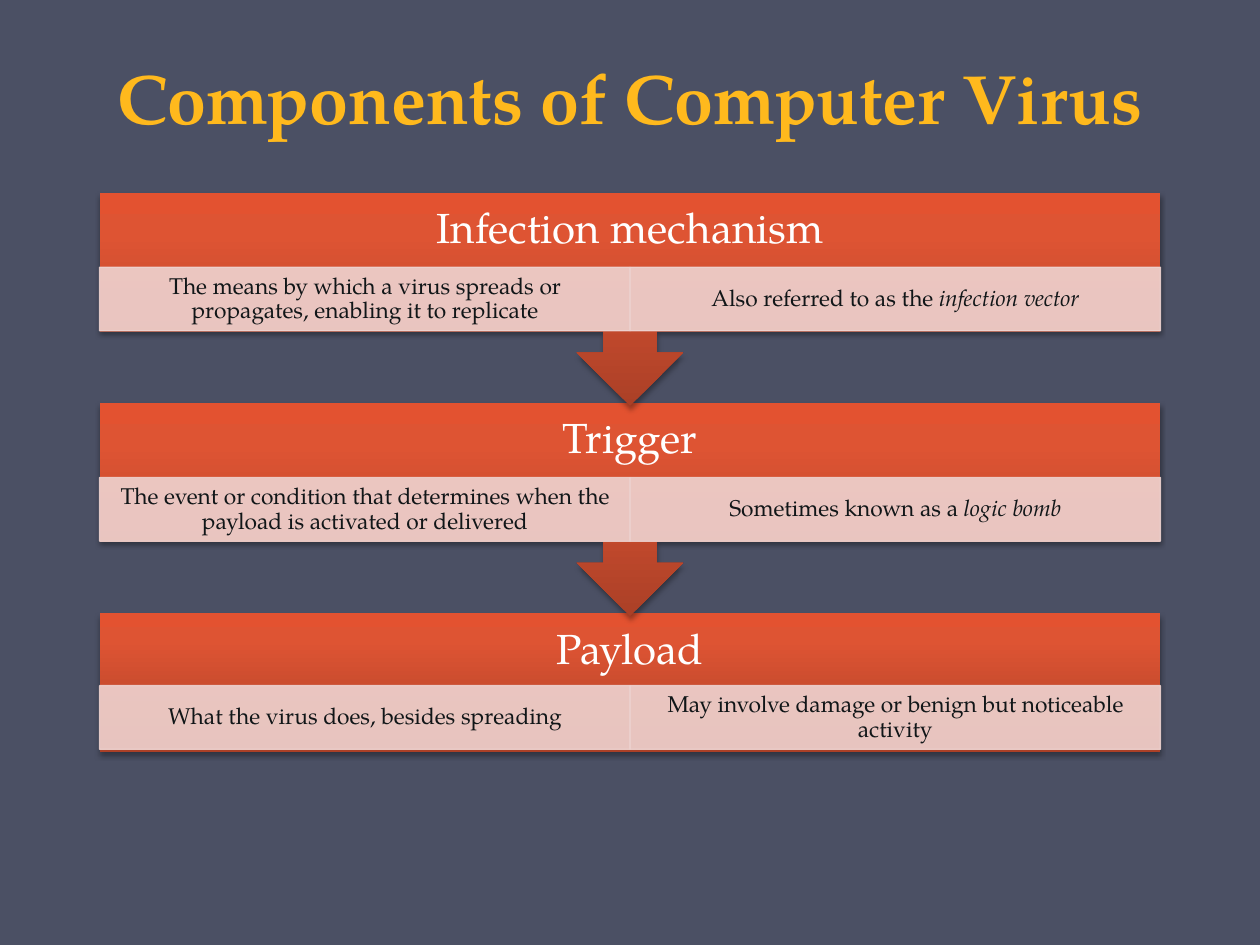
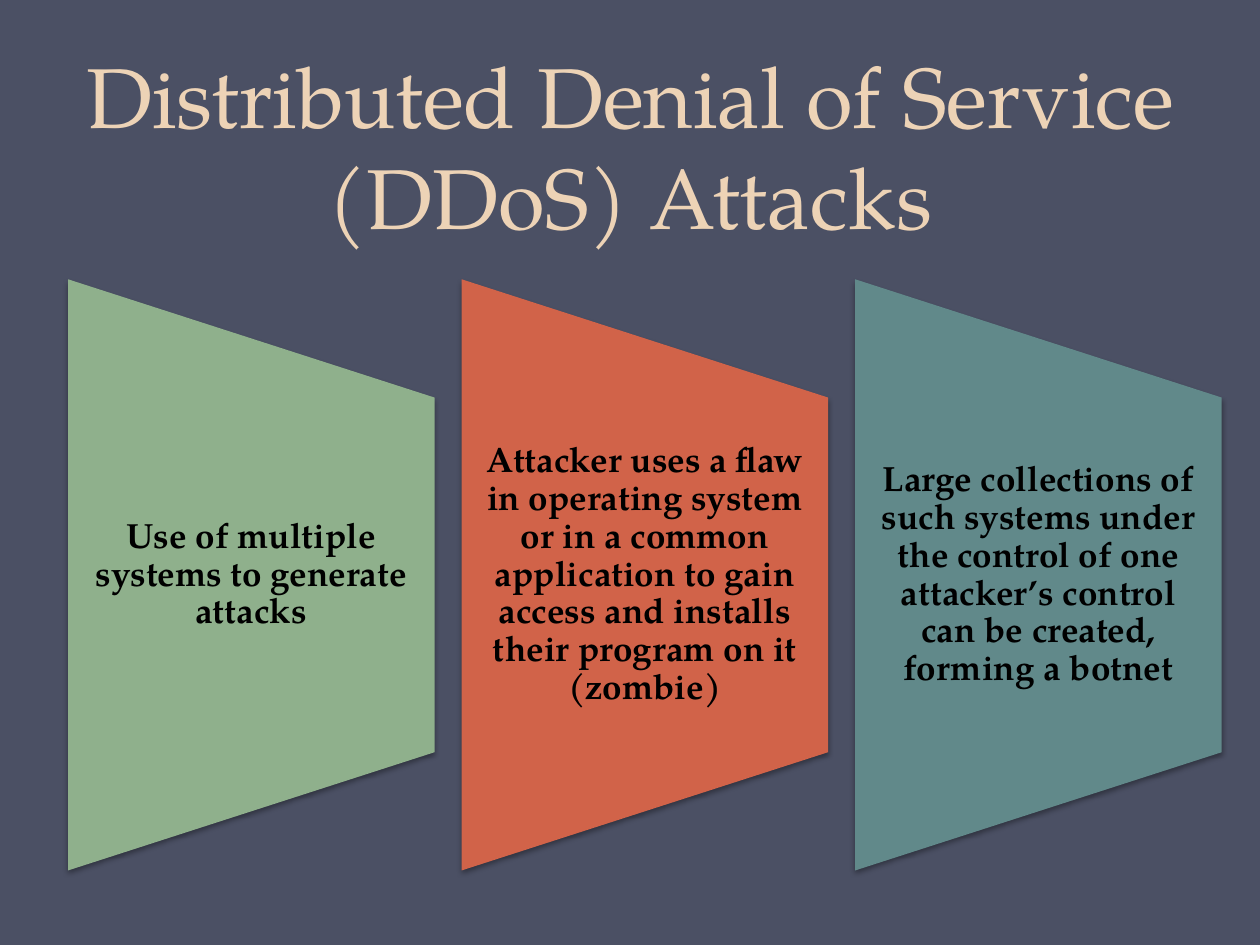
from copy import deepcopy

from lxml import etree
from pptx import Presentation
from pptx.dml.color import RGBColor
from pptx.enum.shapes import MSO_SHAPE
from pptx.enum.text import MSO_ANCHOR, PP_ALIGN
from pptx.oxml.ns import qn
from pptx.util import Pt

RECTANGLE = MSO_SHAPE.RECTANGLE
ARROW_CALLOUT = MSO_SHAPE.DOWN_ARROW_CALLOUT
TRAPEZOID = MSO_SHAPE.FLOWCHART_MANUAL_OPERATION
CENTER = PP_ALIGN.CENTER
MIDDLE, BOTTOM = MSO_ANCHOR.MIDDLE, MSO_ANCHOR.BOTTOM

SLIDE_W, SLIDE_H = 720, 540
FONT = "TeX Gyre Pagella"
BACKGROUND = "4B5064"
GOLD, CREAM = "FFB91D", "EDD3B6"
WHITE, BLACK, INK = "FFFFFF", "000000", "111618"
CELL_FILL = "EED3D0"
GREEN, RED, TEAL = "8FB08C", "D16349", "61898A"
BAND_STOPS = [(0, "AB4027"), (0.8, "DE5433"), (1, "E35230")]

# Each cell is (upright text, italic text)
COMPONENTS = [
    ("Infection mechanism",
     [("The means by which a virus spreads or propagates, enabling it to replicate", ""),
      ("Also referred to as the ", "infection vector")]),
    ("Trigger",
     [("The event or condition that determines when the payload is activated or delivered", ""),
      ("Sometimes known as a ", "logic bomb")]),
    ("Payload",
     [("What the virus does, besides spreading", ""),
      ("May involve damage or benign but noticeable activity", "")]),
]
DDOS_STEPS = [
    (GREEN, "Use of multiple systems to generate attacks"),
    (RED, "Attacker uses a flaw in operating system or in a common application "
          "to gain access and installs their program on it (zombie)"),
    (TEAL, "Large collections of such systems under the control of one attacker’s "
           "control can be created, forming a botnet"),
]


def rgb(hex_color):
    return RGBColor.from_string(hex_color)


def set_attributes(target, **values):
    for key, value in values.items():
        setattr(target, key, value)


class Deck:
    """Holds the presentation, its style and the slide being filled."""

    def __init__(self):
        self.presentation = Presentation()
        set_attributes(self.presentation, slide_width=Pt(SLIDE_W), slide_height=Pt(SLIDE_H))
        self.slide = None

    def new_slide(self):
        self.slide = self.presentation.slides.add_slide(self.presentation.slide_layouts[6])
        fill = self.slide.background.fill
        fill.solid()
        fill.fore_color.rgb = rgb(BACKGROUND)

    def set_text(self, shape, parts, size, color, bold=False, anchor=MIDDLE,
                 spacing=0.9, insets=(7.2, 3.6, 7.2, 3.6)):
        """Fill a shape with one centred paragraph; parts are upright, then italic text."""
        frame = shape.text_frame
        left, top, right, bottom = map(Pt, insets)
        set_attributes(frame, word_wrap=True, vertical_anchor=anchor, margin_left=left,
                       margin_top=top, margin_right=right, margin_bottom=bottom)
        paragraph = frame.paragraphs[0]
        set_attributes(paragraph, alignment=CENTER, line_spacing=spacing)
        for text, italic in zip(parts, (False, True)):
            if text:
                run = paragraph.add_run()
                run.text = text
                set_attributes(run.font, name=FONT, size=Pt(size), bold=bold, italic=italic)
                run.font.color.rgb = rgb(color)

    def text_box(self, box, text, **style):
        self.set_text(self.slide.shapes.add_textbox(*map(Pt, box)), [text], **style)

    def title(self, box, text, **style):
        self.text_box(box, text, anchor=BOTTOM, spacing=Pt(58), **style)

    def shape(self, kind, box, color, shadow=True):
        shape = self.slide.shapes.add_shape(kind, *map(Pt, box))
        shape.fill.solid()
        shape.fill.fore_color.rgb = rgb(color)
        shape.line.fill.background()
        shape.shadow.inherit = False
        if shadow:
            effects = shape.element.spPr.find(qn("a:effectLst"))
            outer = etree.SubElement(
                effects, qn("a:outerShdw"), blurRad=str(Pt(3.1)), dist=str(Pt(1.8)),
                dir="5400000", algn="ctr", rotWithShape="0")
            black = etree.SubElement(outer, qn("a:srgbClr"), val=BLACK)
            etree.SubElement(black, qn("a:alpha"), val="35000")
        return shape

    def band(self, kind, box, heading, cells_height):
        """Draw a gradient band whose heading stays above the row of cells."""
        shape = self.shape(kind, box, BAND_STOPS[0][1])
        shape.fill.gradient()
        shape.fill.gradient_angle = 90
        stop_list = shape.element.spPr.find(".//" + qn("a:gsLst"))
        stop_list.append(deepcopy(stop_list[0]))
        for stop, (position, color) in zip(shape.fill.gradient_stops, BAND_STOPS):
            stop.position = position
            stop.color.rgb = rgb(color)
        self.set_text(shape, [heading], size=24, color=WHITE,
                      insets=(13.7, 0, 13.7, cells_height))

    def cell(self, box, parts):
        shape = self.shape(RECTANGLE, box, CELL_FILL, shadow=False)
        shape.line.color.rgb = rgb(CELL_FILL)
        shape.line.width = Pt(0.75)
        for color in shape.element.spPr.iter(qn("a:srgbClr")):
            etree.SubElement(color, qn("a:alpha"), val="90000")
        self.set_text(shape, parts, size=13, color=INK, insets=(7.2, 1.4, 7.2, 1.4))

    def trapezoid(self, left, center_y, width, height, color):
        """Draw a trapezoid on its side; width and height are as seen after turning."""
        box = (left + (width - height) / 2, center_y - width / 2, height, width)
        self.shape(TRAPEZOID, box, color).rotation = 270


def components_slide(deck):
    deck.new_slide()
    width, body_height, callout_height = 606.2, 79.1, 121.7
    left = (SLIDE_W - width) / 2
    first_top, pitch = 110.2, 120.2
    heading_height, cell_height = 42.5, 36.4
    last = len(COMPONENTS) - 1
    # Drawn from the bottom up, so that each arrow tip lies over the next band
    for row in range(last, -1, -1):
        heading, cells = COMPONENTS[row]
        top = first_top + row * pitch
        kind, height = (RECTANGLE, body_height) if row == last else (ARROW_CALLOUT, callout_height)
        deck.band(kind, (left, top, width, height), heading, body_height - heading_height)
        cell_top = top + (41.2 if row == last else heading_height)
        cell_width = width / len(cells)
        for column, parts in enumerate(cells):
            deck.cell((left + column * cell_width, cell_top, cell_width, cell_height), parts)
    deck.title((36, 0, 648, 82.8), "Components of Computer Virus", size=40, color=GOLD, bold=True)


def ddos_slide(deck):
    deck.new_slide()
    deck.title((0, 29.5, SLIDE_W, 115.2), "Distributed Denial of Service (DDoS) Attacks",
               size=48.6, color=CREAM)
    first_left, pitch, center_y = 38.9, 224.9, 328.5
    width, height, text_height = 209.4, 337.8, 202.8
    for column, (color, text) in enumerate(DDOS_STEPS):
        left = first_left + column * pitch
        deck.trapezoid(left, center_y, width, height, color)
        deck.text_box((left, center_y - text_height / 2, width, text_height), text,
                      size=20, color=BLACK, bold=True, insets=(10, 0, 10, 0))


def main():
    deck = Deck()
    components_slide(deck)
    ddos_slide(deck)
    deck.presentation.save("out.pptx")


if __name__ == "__main__":
    main()
